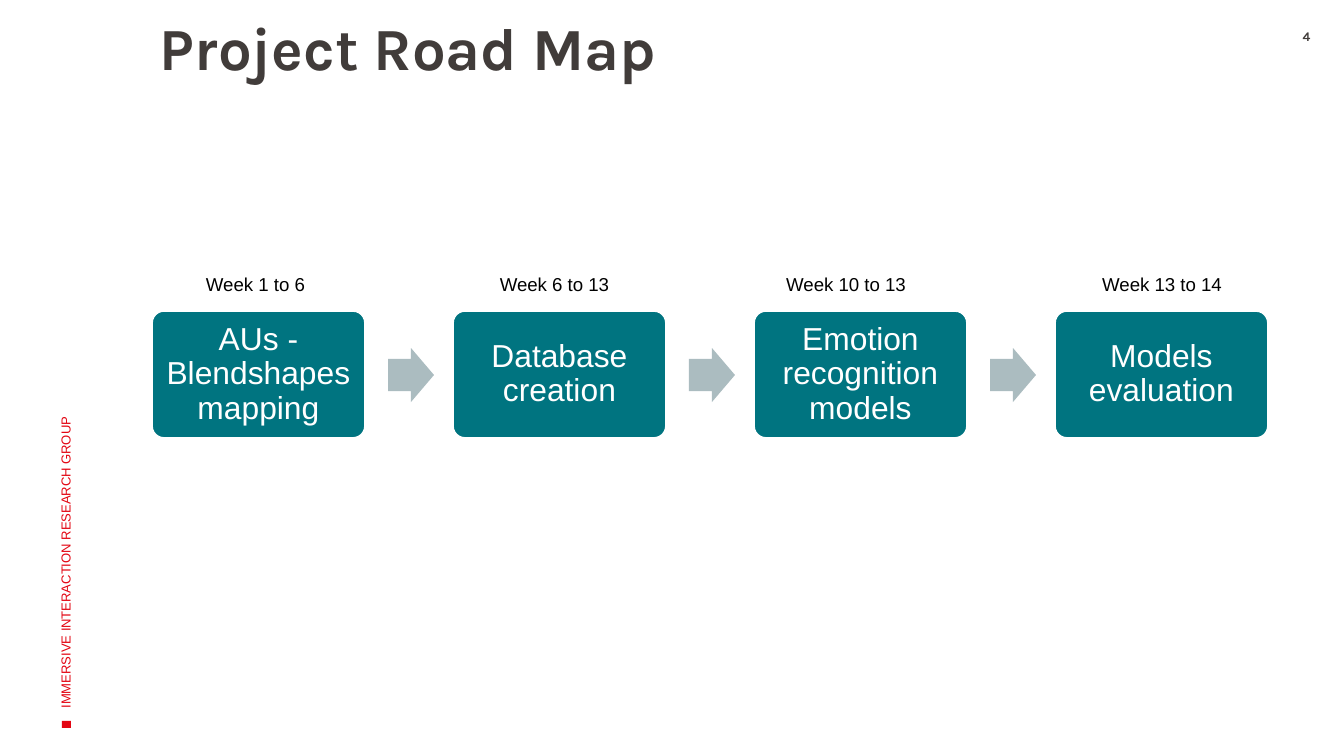
from pptx import Presentation
from pptx.dml.color import RGBColor
from pptx.enum.shapes import MSO_SHAPE as SHAPE
from pptx.enum.text import MSO_ANCHOR as ANCHOR, PP_ALIGN as ALIGN
from pptx.util import Emu, Pt

PX = 914400 / 134.4
TEAL = RGBColor(0x00, 0x74, 0x80)
GREY = RGBColor(0xAB, 0xBC, 0xC0)
RED = RGBColor(0xE3, 0x06, 0x13)
DARK = RGBColor(0x41, 0x3C, 0x3A)
BLACK = RGBColor(0x00, 0x00, 0x00)
WHITE = RGBColor(0xFF, 0xFF, 0xFF)


def px(*lengths):
    return [Emu(round(length * PX)) for length in lengths]


def write(shape, text, font, margins=(13, 7, 13, 7), anchor=ANCHOR.TOP,
          align=ALIGN.LEFT, spacing=1.0):
    frame = shape.text_frame
    left, top, right, bottom = px(*margins)
    frame_format = {"word_wrap": True, "vertical_anchor": anchor,
                    "margin_left": left, "margin_top": top,
                    "margin_right": right, "margin_bottom": bottom}
    for name, value in frame_format.items():
        setattr(frame, name, value)
    paragraph = frame.paragraphs[0]
    paragraph.alignment = align
    paragraph.line_spacing = spacing
    run = paragraph.add_run()
    run.text = text
    font = dict(font)
    run.font.color.rgb = font.pop("color")
    for name, value in font.items():
        setattr(run.font, name, value)


TITLE_FONT = {"name": "Karla", "size": Pt(32), "bold": True, "color": DARK}
NUMBER_FONT = {"name": "Karla", "size": Pt(7), "bold": True, "color": DARK}
STAGE_FONT = {"name": "Arial", "size": Pt(17), "color": WHITE}
WEEK_FONT = {"name": "Arial", "size": Pt(10), "color": BLACK}
GROUP_FONT = {"name": "Arial", "size": Pt(7), "color": RED}

presentation = Presentation()
presentation.slide_width, presentation.slide_height = px(1344, 756)
slide = presentation.slides.add_slide(presentation.slide_layouts[6])
shapes = slide.shapes

marker = shapes.add_shape(SHAPE.RECTANGLE, *px(62, 721, 9, 7))
marker.shadow.inherit = False
marker.fill.solid()
marker.fill.fore_color.rgb = RED
marker.line.fill.background()

title = shapes.add_textbox(*px(133, 19, 694, 176))
write(title, "Project Road Map", TITLE_FONT, (27, 0, 11, 7), spacing=0.9)

number = shapes.add_textbox(*px(1269, 28, 75, 24))
write(number, "4", NUMBER_FONT, (13, 0, 13, 0), align=ALIGN.CENTER)

STAGES = [
    ("AUs - Blendshapes mapping", "Week 1 to 6", 183, 145),
    ("Database creation", "Week 6 to 13", 482, 145),
    ("Emotion recognition models", "Week 10 to 13", 762, 168),
    ("Models evaluation", "Week 13 to 14", 1078, 168),
]
FIRST_LEFT, STEP, ARROW_OFFSET = 151, 301, 237

for index, (stage, weeks, weeks_left, weeks_width) in enumerate(STAGES):
    left = FIRST_LEFT + index * STEP
    box = shapes.add_shape(SHAPE.ROUNDED_RECTANGLE, *px(left, 310, 215, 129))
    box.adjustments[0] = 0.1
    box.shadow.inherit = False
    box.fill.solid()
    box.fill.fore_color.rgb = TEAL
    box.line.color.rgb = WHITE
    box.line.width = Pt(2)
    write(box, stage, STAGE_FONT, (9, 9, 9, 9), ANCHOR.MIDDLE, ALIGN.CENTER, 0.9)

    label = shapes.add_textbox(*px(weeks_left, 266, weeks_width, 36))
    write(label, weeks, WEEK_FONT, align=ALIGN.CENTER)

    if index < len(STAGES) - 1:
        arrow = shapes.add_shape(SHAPE.RIGHT_ARROW,
                                 *px(left + ARROW_OFFSET, 348, 46, 54))
        arrow.adjustments[0] = 0.6
        arrow.adjustments[1] = 0.5
        arrow.shadow.inherit = False
        arrow.fill.solid()
        arrow.fill.fore_color.rgb = GREY
        arrow.line.fill.background()

group_name = shapes.add_textbox(*px(-180, 409, 491, 134))
group_name.rotation = 270
write(group_name, "IMMERSIVE INTERACTION RESEARCH GROUP", GROUP_FONT,
      anchor=ANCHOR.MIDDLE)

presentation.save("out.pptx")
